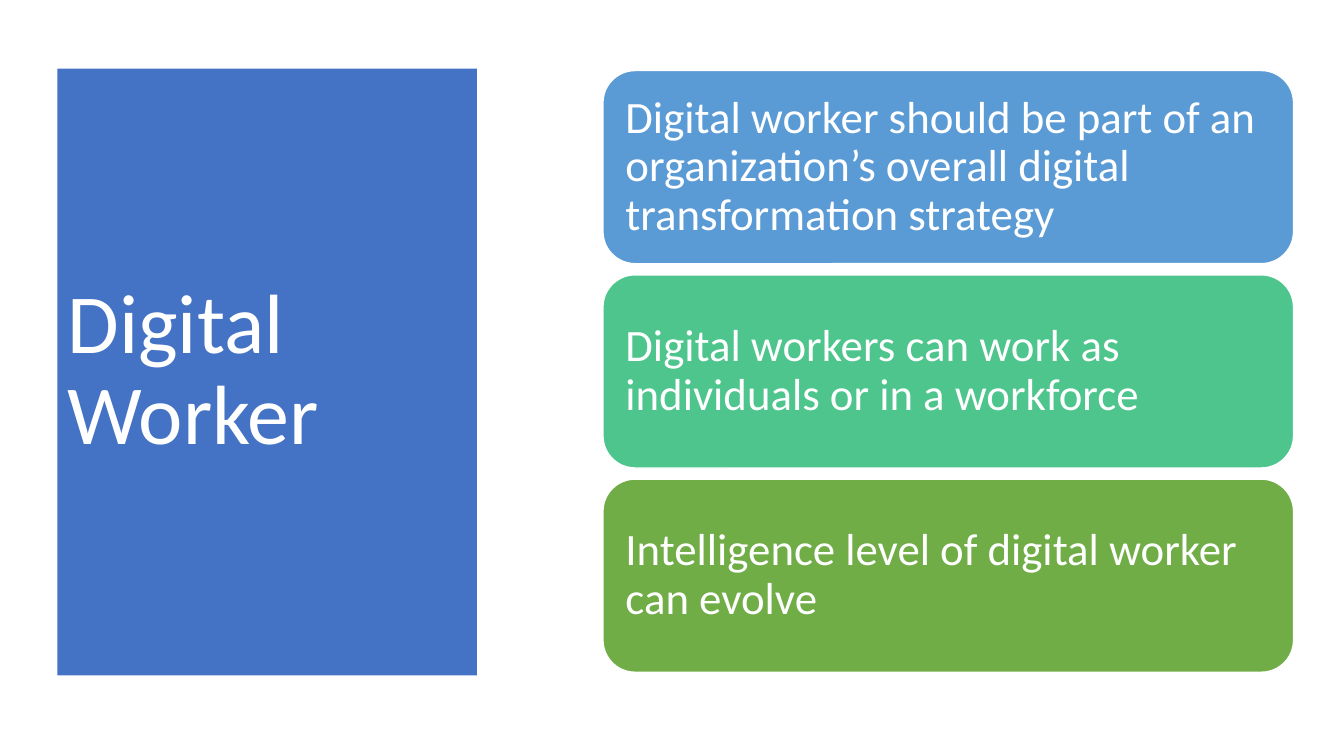
from pptx import Presentation
from pptx.dml.color import RGBColor
from pptx.enum.shapes import MSO_SHAPE
from pptx.enum.text import MSO_ANCHOR, MSO_AUTO_SIZE, PP_ALIGN
from pptx.util import Inches, Pt

WHITE = RGBColor(0xFF, 0xFF, 0xFF)
TITLE_BLUE = RGBColor(0x44, 0x72, 0xC4)
SKY = RGBColor(0x5B, 0x9B, 0xD5)
MINT = RGBColor(0x4D, 0xC5, 0x8D)
GREEN = RGBColor(0x70, 0xAD, 0x47)

CARDS = [
    ("Digital worker should be part of an organization’s overall digital transformation strategy", SKY),
    ("Digital workers can work as individuals or in a workforce", MINT),
    ("Intelligence level of digital worker can evolve", GREEN),
]
CARD_GAP = 0.11


def set_attrs(obj, values):
    """Set each named attribute of obj."""
    for name, value in values.items():
        setattr(obj, name, value)


def fill_text(sp, text, size, inset_x, inset_y):
    """Write white, left-aligned, vertically centred text into a shape."""
    tf = sp.text_frame
    set_attrs(tf, {
        "text": text, "word_wrap": True, "auto_size": MSO_AUTO_SIZE.NONE,
        "vertical_anchor": MSO_ANCHOR.MIDDLE,
        "margin_left": Inches(inset_x), "margin_right": Inches(inset_x),
        "margin_top": Inches(inset_y), "margin_bottom": Inches(inset_y),
    })
    p = tf.paragraphs[0]
    set_attrs(p, {"alignment": PP_ALIGN.LEFT, "line_spacing": 0.9})
    set_attrs(p.runs[0].font, {"name": "Calibri", "size": Pt(size)})
    p.runs[0].font.color.rgb = WHITE


def add_title_panel(s, left, top, width, height):
    """Turn the title placeholder into a solid panel filling the box."""
    sp = s.shapes.title
    set_attrs(sp, {"left": Inches(left), "top": Inches(top),
                   "width": Inches(width), "height": Inches(height)})
    sp.fill.solid()
    sp.fill.fore_color.rgb = TITLE_BLUE
    fill_text(sp, "Digital Worker", 60, 0.1, 0.05)


def add_cards(s, left, top, width, height):
    """Stack equal rounded cards down the box."""
    card_height = (height - CARD_GAP * (len(CARDS) - 1)) / len(CARDS)
    for i, (text, color) in enumerate(CARDS):
        y = top + i * (card_height + CARD_GAP)
        sp = s.shapes.add_shape(MSO_SHAPE.ROUNDED_RECTANGLE, Inches(left), Inches(y),
                                Inches(width), Inches(card_height))
        sp.shadow.inherit = False
        sp.fill.solid()
        sp.fill.fore_color.rgb = color
        sp.line.color.rgb = WHITE
        sp.line.width = Pt(1)
        fill_text(sp, text, 32, 0.13, 0.13)


def main():
    """Build and save the slide."""
    prs = Presentation()
    set_attrs(prs, {"slide_width": Inches(13.33), "slide_height": Inches(7.5)})
    s = prs.slides.add_slide(prs.slide_layouts[5])
    add_title_panel(s, 0.57, 0.68, 4.16, 6.02)
    add_cards(s, 5.98, 0.7, 6.85, 5.97)
    prs.save("out.pptx")


if __name__ == "__main__":
    main()
